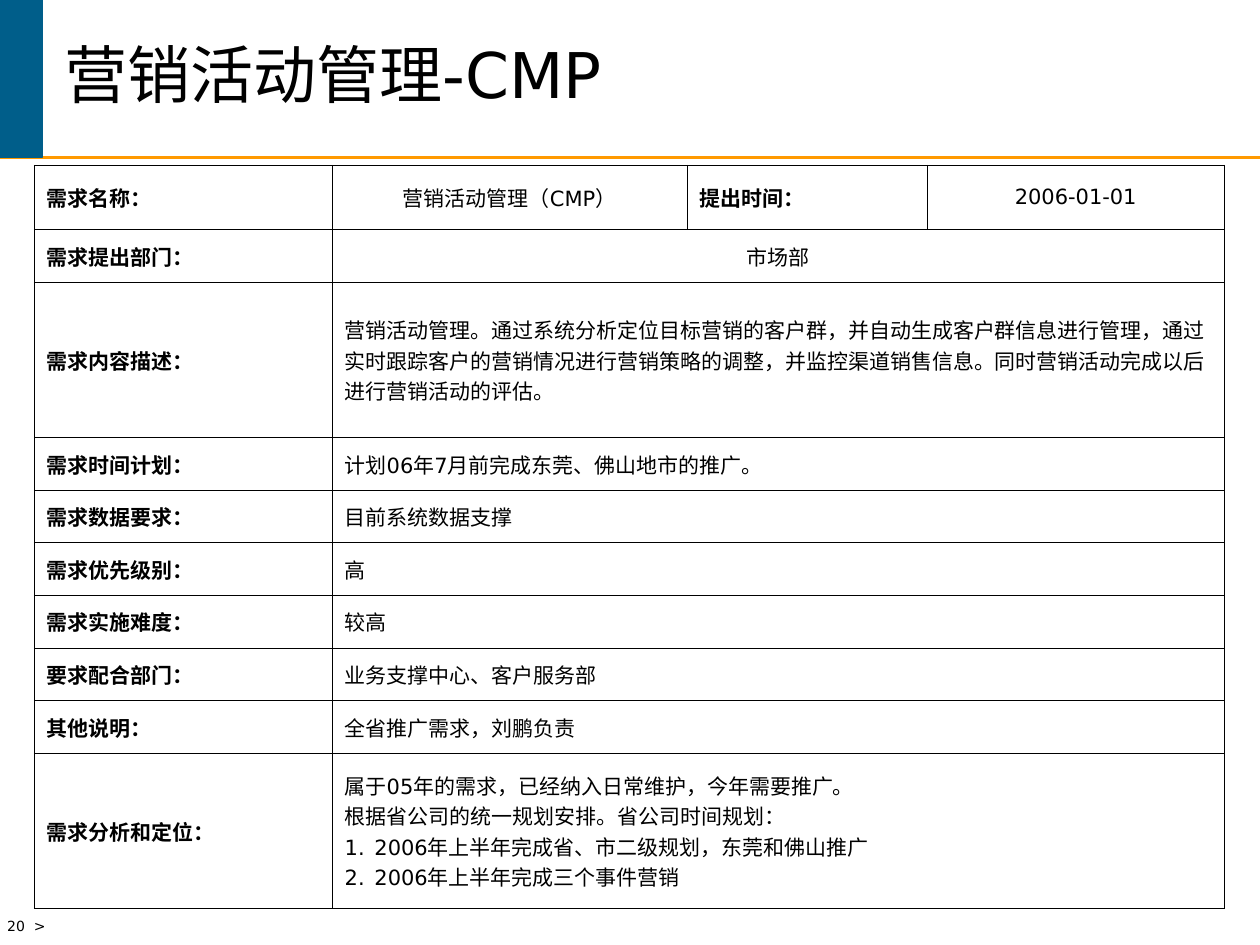
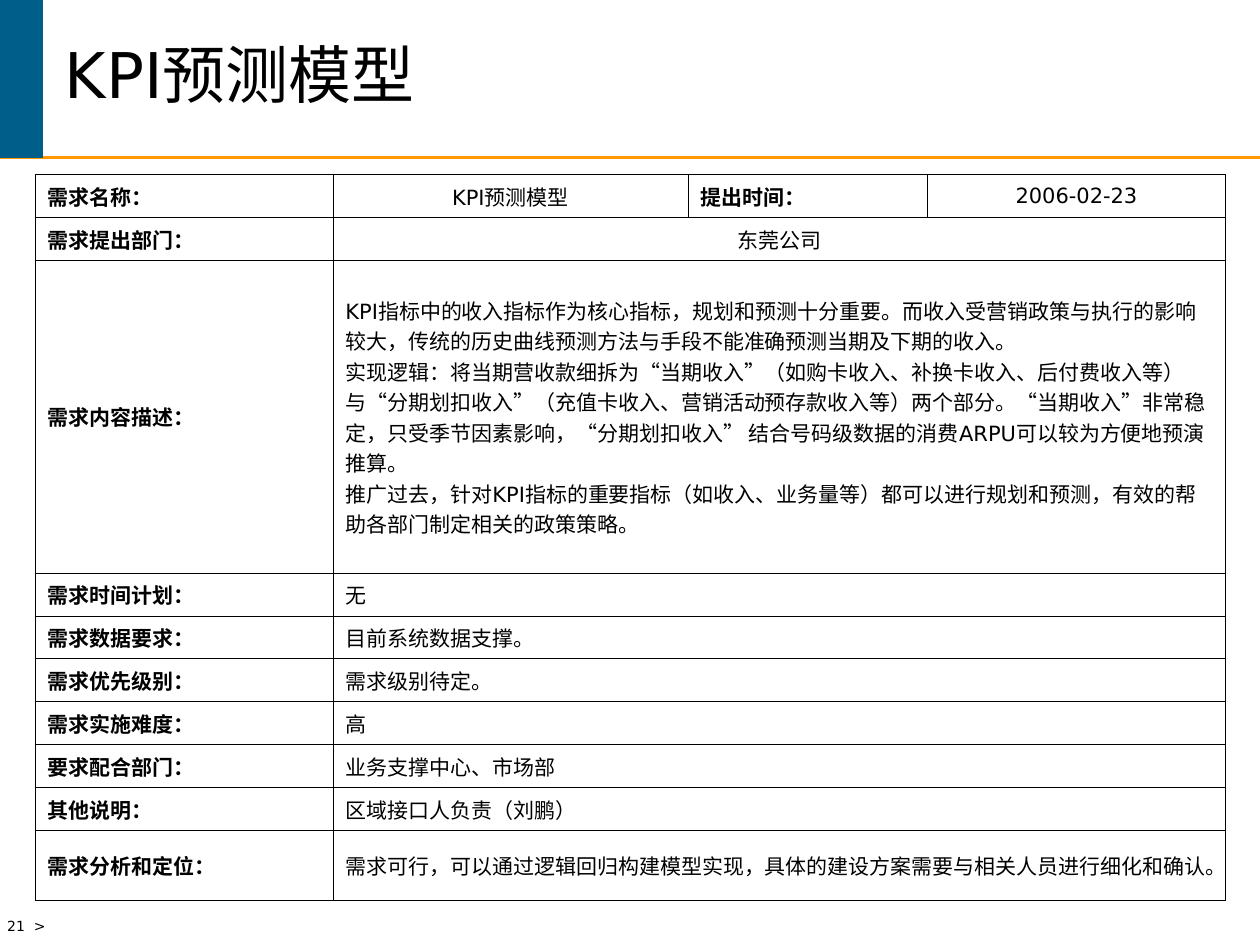
"""Build two requirement sheets, each a titled form table."""
from dataclasses import dataclass
from typing import Any

from lxml.etree import SubElement
from pptx import Presentation
from pptx.dml.color import RGBColor
from pptx.enum.shapes import MSO_CONNECTOR, MSO_SHAPE
from pptx.enum.text import MSO_ANCHOR as Anchor, MSO_AUTO_SIZE as AutoSize, PP_ALIGN as Align
from pptx.oxml.ns import qn
from pptx.util import Pt

COLORS = {"ink": "000000", "band": "005E8A", "rule": "FF9900"}
FONT = "DejaVu Sans"
SLIDE_WIDTH, SLIDE_HEIGHT = 720, 540
HEADER_HEIGHT = 90
COLUMN_WIDTHS = (170.2, 202.9, 137, 170.2)
BORDER_WIDTH = 0.45
NUMBER_INDENT = 17

TITLE_FORMAT = {"name": FONT, "size": Pt(36), "bold": False}
FOOTER_FORMAT = {"name": FONT, "size": Pt(8), "bold": False}
LABEL_FORMAT = {"name": FONT, "size": Pt(12), "bold": True}
VALUE_FORMAT = {**LABEL_FORMAT, "bold": False}

NAME_LABEL, DATE_LABEL = "需求名称：", "提出时间："
ROW_LABELS = (
    "需求提出部门：", "需求内容描述：", "需求时间计划：", "需求数据要求：", "需求优先级别：",
    "需求实施难度：", "要求配合部门：", "其他说明：", "需求分析和定位：",
)


@dataclass(frozen=True)
class Requirement:
    """One requirement sheet: its heading, answers and table geometry."""
    title: str
    name: str
    date: str
    answers: tuple[tuple[str, ...], ...]
    footer: str
    left: float
    top: float
    name_height: float
    row_height: float
    description_height: float
    analysis_height: float
    numbered: tuple[str, ...] = ()

    def row_heights(self) -> list[float]:
        """Return the heights of all table rows."""
        plain_rows = [self.row_height] * (len(ROW_LABELS) - 3)
        return [self.name_height, self.row_height, self.description_height,
                *plain_rows, self.analysis_height]


REQUIREMENTS = (
    Requirement(
        title="营销活动管理-CMP", name="营销活动管理（CMP）", date="2006-01-01", footer="20  >",
        answers=(
            ("市场部",),
            ("营销活动管理。通过系统分析定位目标营销的客户群，并自动生成客户群信息进行管理，"
             "通过实时跟踪客户的营销情况进行营销策略的调整，并监控渠道销售信息。"
             "同时营销活动完成以后进行营销活动的评估。",),
            ("计划06年7月前完成东莞、佛山地市的推广。",),
            ("目前系统数据支撑",),
            ("高",),
            ("较高",),
            ("业务支撑中心、客户服务部",),
            ("全省推广需求，刘鹏负责",),
            ("属于05年的需求，已经纳入日常维护，今年需要推广。",
             "根据省公司的统一规划安排。省公司时间规划："),
        ),
        numbered=("2006年上半年完成省、市二级规划，东莞和佛山推广", "2006年上半年完成三个事件营销"),
        left=19.6, top=94.4, name_height=36.8, row_height=30.1,
        description_height=88.8, analysis_height=88.8,
    ),
    Requirement(
        title="KPI预测模型", name="KPI预测模型", date="2006-02-23", footer="21  >",
        answers=(
            ("东莞公司",),
            ("KPI指标中的收入指标作为核心指标，规划和预测十分重要。而收入受营销政策与执行的影响较大，"
             "传统的历史曲线预测方法与手段不能准确预测当期及下期的收入。",
             "实现逻辑：将当期营收款细拆为“当期收入”（如购卡收入、补换卡收入、后付费收入等）"
             "与“分期划扣收入”（充值卡收入、营销活动预存款收入等）两个部分。"
             "“当期收入”非常稳定，只受季节因素影响，“分期划扣收入” "
             "结合号码级数据的消费ARPU可以较为方便地预演推算。",
             "推广过去，针对KPI指标的重要指标（如收入、业务量等）都可以进行规划和预测，"
             "有效的帮助各部门制定相关的政策策略。"),
            ("无",),
            ("目前系统数据支撑。",),
            ("需求级别待定。",),
            ("高",),
            ("业务支撑中心、市场部",),
            ("区域接口人负责（刘鹏）",),
            ("需求可行，可以通过逻辑回归构建模型实现，具体的建设方案需要与相关人员进行细化和确认。",),
        ),
        left=20, top=99.8, name_height=24.5, row_height=24.5,
        description_height=178.7, analysis_height=40.3,
    ),
)


def color(key: str) -> RGBColor:
    """Look up a named colour."""
    return RGBColor.from_string(COLORS[key])


def apply_format(target: Any, values: dict[str, Any]) -> None:
    """Set every attribute named in the format values."""
    for attribute, value in values.items():
        setattr(target, attribute, value)


def add_number(paragraph: Any) -> None:
    """Turn a paragraph into a numbered item with a hanging indent."""
    properties = paragraph._p.get_or_add_pPr()
    properties.set("marL", str(Pt(NUMBER_INDENT)))
    properties.set("indent", str(-Pt(NUMBER_INDENT)))
    SubElement(properties, qn("a:buFont"), typeface=FONT)
    SubElement(properties, qn("a:buAutoNum"), type="arabicPeriod")


def write_text(frame: Any, lines: tuple[str, ...], values: dict[str, Any],
               align: Any = Align.LEFT, numbered: tuple[str, ...] = ()) -> None:
    """Write plain lines, then numbered ones, as paragraphs."""
    for index, line in enumerate(lines + numbered):
        paragraph = frame.add_paragraph() if index else frame.paragraphs[0]
        paragraph.alignment = align
        if index >= len(lines):
            add_number(paragraph)
        run = paragraph.add_run()
        run.text = line
        apply_format(run.font, values)
        run.font.color.rgb = color("ink")


def add_text_box(slide: Any, box: tuple[float, ...], text: str, values: dict[str, Any],
                 frame_format: dict[str, Any]) -> Any:
    """Add a text box and return its text frame."""
    frame = slide.shapes.add_textbox(*map(Pt, box)).text_frame
    apply_format(frame, frame_format)
    write_text(frame, (text,), values)
    return frame


def add_header_and_footer(slide: Any, requirement: Requirement) -> None:
    """Draw the rule, corner band, page mark and title."""
    rule = slide.shapes.add_connector(
        MSO_CONNECTOR.STRAIGHT, 0, Pt(HEADER_HEIGHT), Pt(SLIDE_WIDTH), Pt(HEADER_HEIGHT))
    rule.line.color.rgb = color("rule")
    rule.line.width = Pt(1.5)
    SubElement(rule._element.spPr, qn("a:effectLst"))

    band = slide.shapes.add_shape(MSO_SHAPE.RECTANGLE, 0, 0, Pt(24), Pt(HEADER_HEIGHT))
    band.shadow.inherit = False
    band.fill.solid()
    band.fill.fore_color.rgb = band.line.color.rgb = color("band")
    band.line.width = Pt(1)

    add_text_box(slide, (-3, 521, 99, 19), requirement.footer, FOOTER_FORMAT,
                 {"word_wrap": False, "auto_size": AutoSize.SHAPE_TO_FIT_TEXT})
    title = add_text_box(slide, (30, 0, 672, HEADER_HEIGHT), requirement.title, TITLE_FORMAT,
                         {"word_wrap": True, "vertical_anchor": Anchor.MIDDLE})
    title.paragraphs[0].line_spacing = 0.85


def style_cell(cell: Any) -> None:
    """Give a cell thin borders, no fill and centred anchoring."""
    properties = cell._tc.get_or_add_tcPr()
    for side in ("lnL", "lnR", "lnT", "lnB"):
        line = SubElement(properties, qn(f"a:{side}"), w=str(Pt(BORDER_WIDTH)))
        SubElement(SubElement(line, qn("a:solidFill")), qn("a:srgbClr"), val=COLORS["ink"])
    cell.fill.background()
    apply_format(cell, {"vertical_anchor": Anchor.MIDDLE, "margin_left": Pt(7.2),
                        "margin_right": Pt(7.2), "margin_top": Pt(3.6), "margin_bottom": Pt(3.6)})


def add_form(slide: Any, requirement: Requirement) -> None:
    """Draw the requirement table."""
    heights = requirement.row_heights()
    table = slide.shapes.add_table(
        len(heights), len(COLUMN_WIDTHS), Pt(requirement.left), Pt(requirement.top),
        Pt(sum(COLUMN_WIDTHS)), Pt(sum(heights))).table
    apply_format(table, {"first_row": False, "horz_banding": False})
    for column, width in zip(table.columns, COLUMN_WIDTHS):
        column.width = Pt(width)
    for row, height in zip(table.rows, heights):
        row.height = Pt(height)
    for cell in table.iter_cells():
        style_cell(cell)

    pairs = ((NAME_LABEL, requirement.name), (DATE_LABEL, requirement.date))
    for index, (label, value) in enumerate(pairs):
        write_text(table.cell(0, 2 * index).text_frame, (label,), LABEL_FORMAT)
        write_text(table.cell(0, 2 * index + 1).text_frame, (value,), VALUE_FORMAT, Align.CENTER)

    for row, (label, answer) in enumerate(zip(ROW_LABELS, requirement.answers), start=1):
        write_text(table.cell(row, 0).text_frame, (label,), LABEL_FORMAT)
        answer_cell = table.cell(row, 1)
        answer_cell.merge(table.cell(row, len(COLUMN_WIDTHS) - 1))
        write_text(answer_cell.text_frame, answer, VALUE_FORMAT,
                   Align.CENTER if row == 1 else Align.LEFT,
                   requirement.numbered if row == len(ROW_LABELS) else ())


def main() -> None:
    """Build and save the presentation."""
    presentation = Presentation()
    presentation.slide_width, presentation.slide_height = Pt(SLIDE_WIDTH), Pt(SLIDE_HEIGHT)
    for requirement in REQUIREMENTS:
        slide = presentation.slides.add_slide(presentation.slide_layouts[6])
        add_header_and_footer(slide, requirement)
        add_form(slide, requirement)
    presentation.save("out.pptx")


if __name__ == "__main__":
    main()
